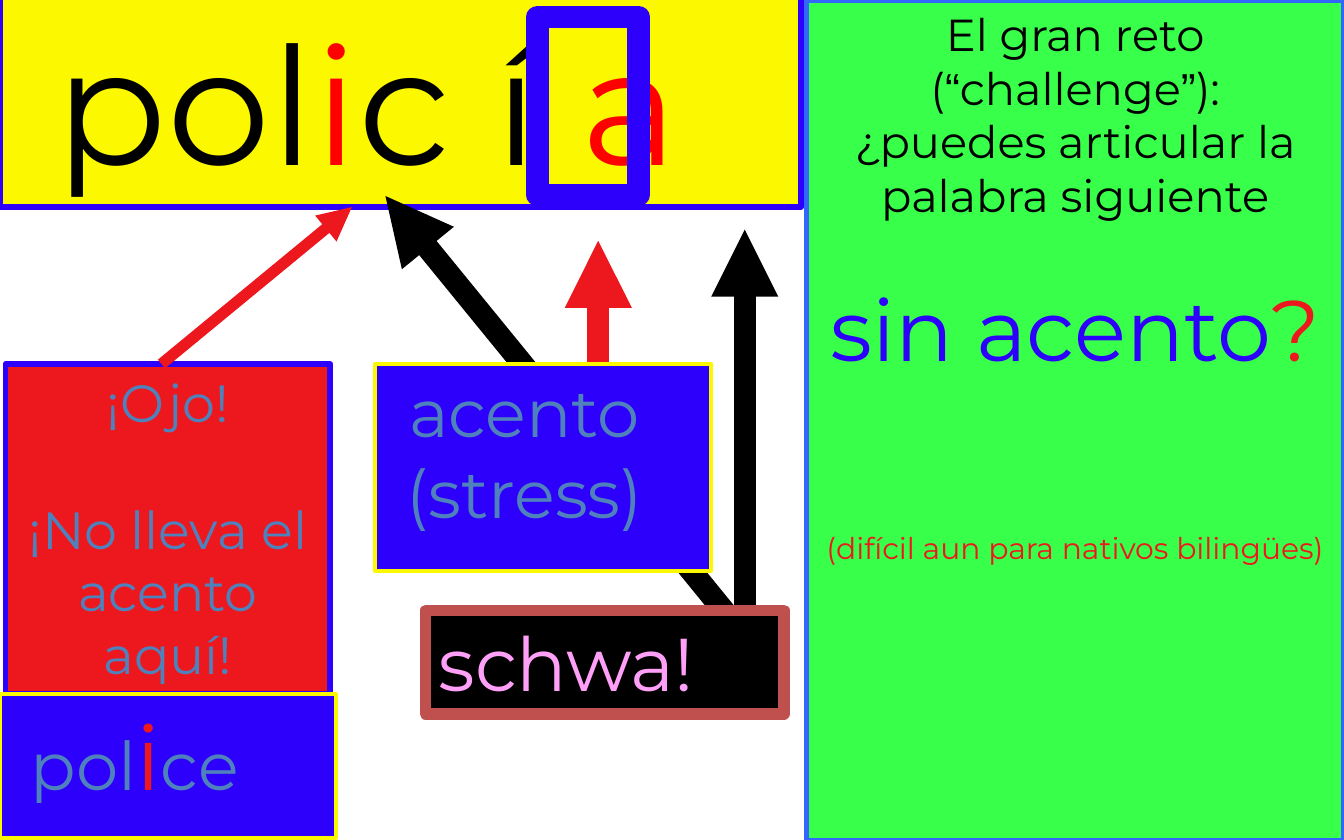
import pptx
import pptx.dml.color
import pptx.enum.shapes
import pptx.enum.text
import pptx.oxml
import pptx.oxml.ns
import pptx.util

Pt = pptx.util.Pt
ALIGN = pptx.enum.text.PP_ALIGN
RECT = pptx.enum.shapes.MSO_SHAPE.RECTANGLE
BLUE, YELLOW, RED, STEEL = "2C00FB", "FCF800", "ED181E", "4F81BD"
PURE, BLACK = "FF0000", "000000"


def color(code):
    return pptx.dml.color.RGBColor.from_string(code)


def style(shape, fill, line, width):
    if fill:
        shape.fill.solid()
        shape.fill.fore_color.rgb = color(fill)
    else:
        shape.fill.background()
    shape.line.color.rgb = color(line)
    shape.line.width = Pt(width)


def write(shape, *lines, left=7.2, right=7.2):
    """Each line is a dict of runs [(text, format), ...], align and gap."""
    frame = shape.text_frame
    frame.auto_size = pptx.enum.text.MSO_AUTO_SIZE.NONE
    frame.word_wrap = True
    frame.vertical_anchor = pptx.enum.text.MSO_ANCHOR.TOP
    frame.margin_left, frame.margin_right = Pt(left), Pt(right)
    frame.margin_top = frame.margin_bottom = Pt(3.6)
    for i, line in enumerate(lines):
        para = frame.paragraphs[0] if i == 0 else frame.add_paragraph()
        para.alignment = line["align"]
        para.space_before = Pt(line["gap"])
        for run, form in line["runs"]:
            part = para.add_run()
            part.text = run
            part.font.name = form.get("face", "Montserrat")
            part.font.size = Pt(form["size"])
            part.font.color.rgb = color(form["ink"])


def text(*runs, align=ALIGN.CENTER, gap=0, **form):
    """One paragraph; a run is a string or (string, changes)."""
    pairs = [(r, {}) if isinstance(r, str) else r for r in runs]
    return {"runs": [(r, {**form, **new}) for r, new in pairs],
            "align": align, "gap": gap}


def block(slide, box, fill, line, width):
    shape = slide.shapes.add_shape(RECT, *map(Pt, box))
    shape.shadow.inherit = False
    style(shape, fill, line, width)
    return shape


def arrow(slide, tip, end, ink, width):
    kind = pptx.enum.shapes.MSO_CONNECTOR.STRAIGHT
    line = slide.shapes.add_connector(kind, *map(Pt, tip + end))
    line.line.color.rgb = color(ink)
    line.line.width = Pt(width)
    props = line._element.spPr
    head = pptx.oxml.parse_xml(
        f'<a:headEnd {pptx.oxml.ns.nsdecls("a")} type="triangle"/>')
    props.find(pptx.oxml.ns.qn("a:ln")).append(head)
    props.append(pptx.oxml.parse_xml(
        f'<a:effectLst {pptx.oxml.ns.nsdecls("a")}/>'))


def banner(slide, box):
    title = slide.shapes.title
    title.left, title.top, title.width, title.height = map(Pt, box)
    style(title, YELLOW, BLUE, 3)
    write(title, text("pol", ("i", {"ink": PURE}), "c í ", ("a", {"ink": PURE}),
                      size=88, ink=BLACK, align=ALIGN.LEFT), left=30)


def panel(slide, box):
    quote = {"face": "Arial"}
    write(block(slide, box, "37FF4A", "3366FF", 3),
          text("El gran reto (", ("“", quote), "challenge", ("”", quote), "):",
               size=24, ink=BLACK),
          text("¿puedes articular la palabra siguiente", size=24, ink=BLACK),
          text("sin acento", ("?", {"ink": RED}), size=46, ink=BLUE, gap=29),
          text("(difícil aun para nativos bilingües)", size=16, ink=RED, gap=81))


def warning(slide, box):
    write(block(slide, box, RED, BLUE, 3),
          text("¡Ojo!", size=28, ink=STEEL),
          text("¡No lleva el acento aquí!", size=28, ink=STEEL, gap=34))


def cognate(slide, box):
    write(block(slide, box, BLUE, YELLOW, 2.25),
          text("pol", ("i", {"size": 48, "ink": RED}), "ce",
               size=36, ink=STEEL, align=ALIGN.LEFT), left=16.6)


def stress(slide, box):
    write(block(slide, box, BLUE, YELLOW, 2.25),
          text("acento", size=36, ink=STEEL),
          text("(stress)", size=36, ink=STEEL), right=27)


def schwa(slide, box):
    write(block(slide, box, BLACK, "C0504D", 6),
          text("schwa!", size=40, ink="FFA0F8", align=ALIGN.LEFT))


def main():
    deck = pptx.Presentation()
    deck.slide_width, deck.slide_height = Pt(720), Pt(450)
    slide = deck.slides.add_slide(deck.slide_layouts[5])

    # Challenge and word
    panel(slide, (432, 0, 288, 450.5))
    banner(slide, (0, -3, 429, 114))

    # Warning about the English stress
    warning(slide, (3, 195, 174, 177))
    arrow(slide, (188.5, 111), (86.5, 195), RED, 6)
    cognate(slide, (0, 372, 180, 77))

    # Frame and arrows to the vowels
    block(slide, (288, 9, 54, 95.5), None, BLUE, 12)
    arrow(slide, (320.5, 129), (320.5, 207), RED, 12)
    arrow(slide, (399, 123), (399, 333), BLACK, 12)
    arrow(slide, (206.5, 105), (392.5, 333), BLACK, 12)

    # Labels in front of the arrows
    stress(slide, (201, 195, 180, 111))
    schwa(slide, (228, 327, 192, 55.5))

    deck.save("out.pptx")


if __name__ == "__main__":
    main()
